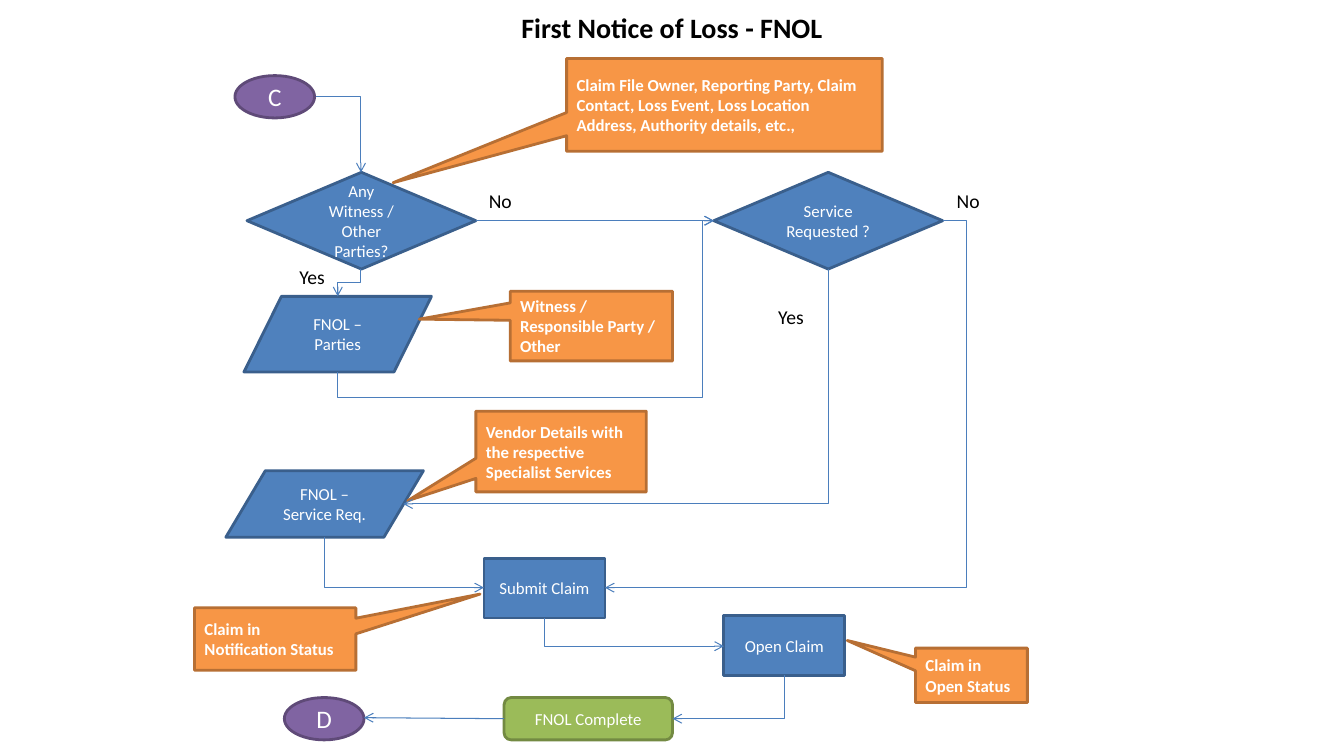
import lxml.etree
import pptx
import pptx.util
import pptx.dml.color
import pptx.enum.shapes
import pptx.enum.text
import pptx.oxml.ns

Inches, Pt = pptx.util.Inches, pptx.util.Pt
KIND = pptx.enum.shapes.MSO_SHAPE
LINK = pptx.enum.shapes.MSO_CONNECTOR
ALIGN = pptx.enum.text.PP_ALIGN
MIDDLE = pptx.enum.text.MSO_ANCHOR.MIDDLE
FIT = pptx.enum.text.MSO_AUTO_SIZE
qn = pptx.oxml.ns.qn

COLORS = {
    "step": "4F81BD", "step edge": "3A5F8C",
    "note": "F79646", "note edge": "B76F34",
    "ref": "8064A2", "ref edge": "5F4A78",
    "done": "9BBB59", "done edge": "738A42",
    "arrow": "4B7EBC", "white": "FFFFFF", "black": "000000",
}

# kind, role, text, left, top, width, height
NODES = [
    (KIND.FLOWCHART_DECISION, "step", "Any Witness / Other Parties?", 2.45, 1.71, 2.27, 0.96),
    (KIND.FLOWCHART_DECISION, "step", "Service Requested ?", 7.08, 1.71, 2.27, 0.96),
    (KIND.FLOWCHART_DATA, "step", "FNOL – Parties", 2.42, 2.94, 1.86, 0.75),
    (KIND.FLOWCHART_DATA, "step", "FNOL – Service Req.", 2.24, 4.67, 1.96, 0.66),
    (KIND.FLOWCHART_PROCESS, "step", "Submit Claim", 4.8, 5.54, 1.2, 0.59),
    (KIND.FLOWCHART_PROCESS, "step", "Open Claim", 7.18, 6.11, 1.2, 0.59),
    (KIND.ROUNDED_RECTANGLE, "done", "FNOL Complete", 5, 6.92, 1.67, 0.42),
    (KIND.OVAL, "ref", "C", 2.33, 0.75, 0.79, 0.42),
    (KIND.OVAL, "ref", "D", 2.82, 6.92, 0.79, 0.42),
]

# text, box, pointer offset from the centre as a share of the box
NOTES = [
    ("Claim File Owner, Reporting Party, Claim Contact, Loss Event, "
     "Loss Location Address, Authority details, etc.,",
     (5.62, 0.58, 3.13, 0.92), (-1.05, 0.84)),
    ("Witness / Responsible Party / Other", (5.06, 2.89, 1.61, 0.69), (-1.06, -0.1)),
    ("Vendor Details with the respective Specialist Services",
     (4.72, 4.08, 1.69, 0.8), (-0.9, 0.61)),
    ("Claim in Notification Status", (1.93, 6.03, 1.6, 0.62), (1.27, -0.72)),
    ("Claim in Open Status", (9.08, 6.43, 1.11, 0.54), (-1.11, -0.64)),
]

LABELS = [("Yes", 2.87, 2.58), ("No", 4.75, 1.83), ("Yes", 7.62, 2.98), ("No", 9.39, 1.83)]

# start, end, leaves downwards, number of legs, bend positions
ELBOWS = [
    ((3.13, 0.96), (3.58, 1.71), False, 2, ()),
    ((3.58, 2.67), (3.35, 2.94), True, 3, (0.5,)),
    ((3.35, 3.69), (7.08, 2.19), True, 4, (-0.17, 0.97)),
    ((8.22, 2.67), (4, 5), True, 2, ()),
    ((9.35, 2.19), (6, 5.83), False, 3, (-0.07,)),
    ((3.22, 5.33), (4.8, 5.83), True, 2, ()),
    ((5.4, 6.13), (7.18, 6.41), True, 2, ()),
    ((7.78, 6.7), (6.67, 7.13), True, 2, ()),
]

LINES = [((4.72, 2.19), (7.08, 2.19)), ((5, 7.13), (3.61, 7.12))]


def rgb(name):
    return pptx.dml.color.RGBColor.from_string(COLORS[name])


def write(frame, text, size, color, align, bold=False):
    frame.word_wrap = True
    para = frame.paragraphs[0]
    para.alignment = align
    run = para.add_run()
    run.text = text
    font = run.font
    font.name, font.size, font.bold = "Calibri", Pt(size), bold
    font.color.rgb = rgb(color)


def add_node(slide, kind, role, box):
    node = slide.shapes.add_shape(kind, *map(Inches, box))
    node.shadow.inherit = False
    node.fill.solid()
    node.fill.fore_color.rgb = rgb(role)
    node.line.color.rgb = rgb(role + " edge")
    node.line.width = Pt(2)
    node.text_frame.vertical_anchor = MIDDLE
    return node


def add_note(slide, text, box, tip):
    note = add_node(slide, KIND.RECTANGULAR_CALLOUT, "note", box)
    for index, share in enumerate(tip):
        note.adjustments[index] = share
    write(note.text_frame, text, 12, "white", ALIGN.LEFT, True)


def add_label(slide, text, left, top):
    label = slide.shapes.add_textbox(*map(Inches, (left, top, 0.5, 0.34)))
    write(label.text_frame, text, 14, "black", ALIGN.LEFT)
    label.text_frame.auto_size = FIT.SHAPE_TO_FIT_TEXT


def add_arrow(slide, kind, start, end):
    arrow = slide.shapes.add_connector(kind, *map(Inches, (*start, *end)))
    arrow.line.color.rgb = rgb("arrow")
    arrow.line.width = Pt(0.75)
    props = arrow._element.spPr
    lxml.etree.SubElement(props.find(qn("a:ln")), qn("a:tailEnd"), type="arrow")
    lxml.etree.SubElement(props, qn("a:effectLst"))
    return arrow


def add_elbow(slide, start, end, down, legs, bends):
    """Draw a bent arrow; one that leaves downwards is a quarter turn of a level one."""
    if down:
        (x1, y1), (x2, y2) = start, end
        mid_x, mid_y = (x1 + x2) / 2, (y1 + y2) / 2
        half_w, half_h = (y2 - y1) / 2, (x1 - x2) / 2
        start = (mid_x - half_w, mid_y - half_h)
        end = (mid_x + half_w, mid_y + half_h)
    props = add_arrow(slide, LINK.ELBOW, start, end)._element.spPr
    if down:
        props.find(qn("a:xfrm")).set("rot", str(90 * 60000))
    shape = props.find(qn("a:prstGeom"))
    shape.set("prst", f"bentConnector{legs}")
    for index, share in enumerate(bends, 1):
        lxml.etree.SubElement(shape.find(qn("a:avLst")), qn("a:gd"),
                              name=f"adj{index}", fmla=f"val {round(share * 100000)}")


def add_title(slide, text):
    title = slide.shapes.title
    title.left, title.top, title.width, title.height = map(Inches, (0, 0.05, 13.33, 0.45))
    title.text_frame.vertical_anchor = MIDDLE
    title.text_frame.auto_size = FIT.NONE
    write(title.text_frame, text, 20, "black", ALIGN.CENTER, True)


def main():
    deck = pptx.Presentation()
    deck.slide_width, deck.slide_height = Inches(13.33), Inches(7.5)
    slide = deck.slides.add_slide(deck.slide_layouts[5])
    add_title(slide, "First Notice of Loss - FNOL")
    for kind, role, text, *box in NODES:
        node = add_node(slide, kind, role, box)
        size = 18 if role == "ref" else 12
        write(node.text_frame, text, size, "white", ALIGN.CENTER)
    for note in NOTES:
        add_note(slide, *note)
    for label in LABELS:
        add_label(slide, *label)
    for elbow in ELBOWS:
        add_elbow(slide, *elbow)
    for start, end in LINES:
        add_arrow(slide, LINK.STRAIGHT, start, end)
    deck.save("out.pptx")


if __name__ == "__main__":
    main()
